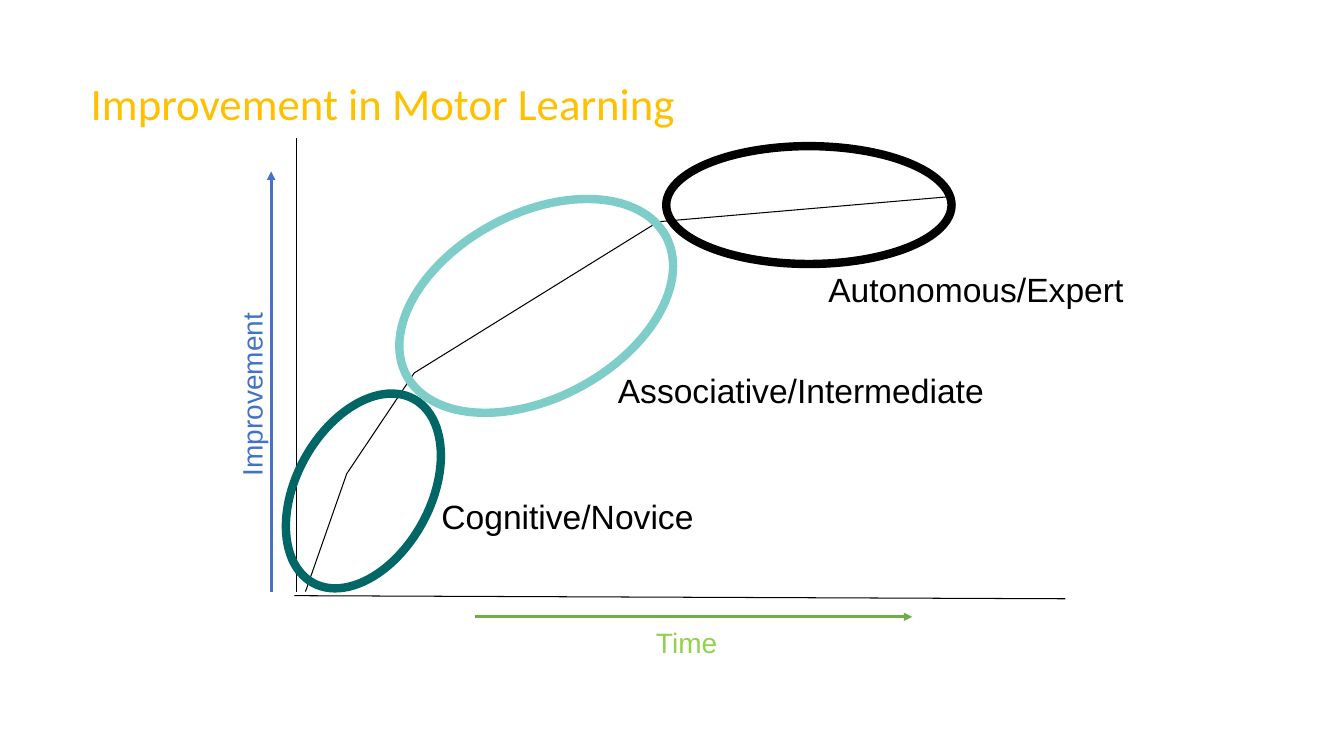
import pptx
import pptx.util
import pptx.dml.color
import pptx.enum.shapes
import pptx.enum.text
import pptx.oxml
import pptx.oxml.ns

Pt = pptx.util.Pt
Align = pptx.enum.text.PP_ALIGN
BLACK = "000000"


def color(hex_code):
    return pptx.dml.color.RGBColor.from_string(hex_code)


def apply(target, values):
    for name, value in values.items():
        setattr(target, name, value)


class CurveSlide:
    """Holds the style and the slide being drawn; lengths are in points."""

    font = "Arial"
    thin, arrow_width, ring_width = 0.75, 2, 6

    def __init__(self, deck):
        self.slide = deck.slides.add_slide(deck.slide_layouts[5])
        self.shapes = self.slide.shapes

    def outline(self, shape, hex_code, width):
        shape.line.color.rgb = color(hex_code)
        shape.line.width = Pt(width)

    def set_text(self, shape, text, size, hex_code, font, align=Align.LEFT):
        frame = shape.text_frame
        apply(frame, {"word_wrap": True,
                      "vertical_anchor": pptx.enum.text.MSO_ANCHOR.TOP,
                      "auto_size": pptx.enum.text.MSO_AUTO_SIZE.SHAPE_TO_FIT_TEXT})
        paragraph = frame.paragraphs[0]
        paragraph.text = text
        paragraph.alignment = align
        apply(paragraph.font, {"name": font, "size": Pt(size), "bold": False})
        paragraph.font.color.rgb = color(hex_code)

    def title(self, text, box, size, hex_code):
        heading = self.shapes.title
        apply(heading, dict(zip(("left", "top", "width", "height"), map(Pt, box))))
        self.set_text(heading, text, size, hex_code, "Calibri")

    def label(self, text, box, size, hex_code, parent=None, rotation=0, align=Align.LEFT):
        caption = (parent or self.shapes).add_textbox(*map(Pt, box))
        caption.rotation = rotation
        self.set_text(caption, text, size, hex_code, self.font, align)

    def line(self, start, end, hex_code=BLACK, width=thin, arrow=False):
        connector = self.shapes.add_connector(
            pptx.enum.shapes.MSO_CONNECTOR.STRAIGHT, *map(Pt, start + end))
        self.outline(connector, hex_code, width)
        properties = connector._element.spPr
        namespace = pptx.oxml.ns.nsdecls("a")
        if arrow:
            head = pptx.oxml.parse_xml(f'<a:tailEnd {namespace} type="triangle"/>')
            properties.find(pptx.oxml.ns.qn("a:ln")).append(head)
        properties.append(pptx.oxml.parse_xml(f"<a:effectLst {namespace}/>"))

    def curve(self, points):
        start, *rest = [tuple(map(Pt, point)) for point in points]
        builder = self.shapes.build_freeform(*start)
        builder.add_line_segments(rest, close=False)
        progress = builder.convert_to_shape()
        progress.fill.background()
        progress.shadow.inherit = False
        self.outline(progress, BLACK, self.thin)

    def stage(self, text, text_box, ring_box, rotation, hex_code):
        group = self.shapes.add_group_shape().shapes
        ring = group.add_shape(pptx.enum.shapes.MSO_SHAPE.OVAL, *map(Pt, ring_box))
        ring.rotation = rotation
        ring.fill.background()
        ring.shadow.inherit = False
        self.outline(ring, hex_code, self.ring_width)
        self.label(text, text_box, 24, BLACK, group)


def main():
    deck = pptx.Presentation()
    apply(deck, {"slide_width": Pt(960), "slide_height": Pt(540)})
    chart = CurveSlide(deck)
    chart.title("Improvement in Motor Learning", (57.6, 50.4, 851, 46), 32, "FFC000")

    # Axes
    chart.line((211.7, 98.6), (211.7, 422.6))
    chart.line((210.2, 425.5), (761, 427.7))

    # Learning curve
    chart.curve([(218.2, 422.6), (247.7, 338.4), (295.9, 266.4),
                 (470.2, 158.4), (679, 140.4)])

    # Stages: label, label box, ring box, ring rotation, ring colour
    stages = [
        ("Cognitive/Novice", (308.2, 350.6, 198.7, 36.7),
         (211.7, 275.8, 95.8, 149.8), 28.8, "006666"),
        ("Associative/Intermediate", (434.2, 260.6, 281.5, 36.7),
         (277.9, 152.6, 210.2, 131.8), 331.9, "7FCDC9"),
        ("Autonomous/Expert", (584.6, 188.6, 236.9, 36.7),
         (475.9, 104.4, 203.8, 84.2), 0, BLACK),
    ]
    for stage in stages:
        chart.stage(*stage)

    # Axis captions and arrows
    chart.label("Improvement", (87.8, 266.4, 183.6, 31), 20, "4472C4",
                rotation=270, align=Align.CENTER)
    chart.line((193.7, 422.6), (193.7, 122.4), "4472C4", chart.arrow_width, arrow=True)
    chart.label("Time", (461.5, 443.5, 67.7, 31.7), 20, "92D050")
    chart.line((339.1, 440.6), (651.6, 440.6), "70AD47", chart.arrow_width, arrow=True)

    deck.save("out.pptx")


if __name__ == "__main__":
    main()
